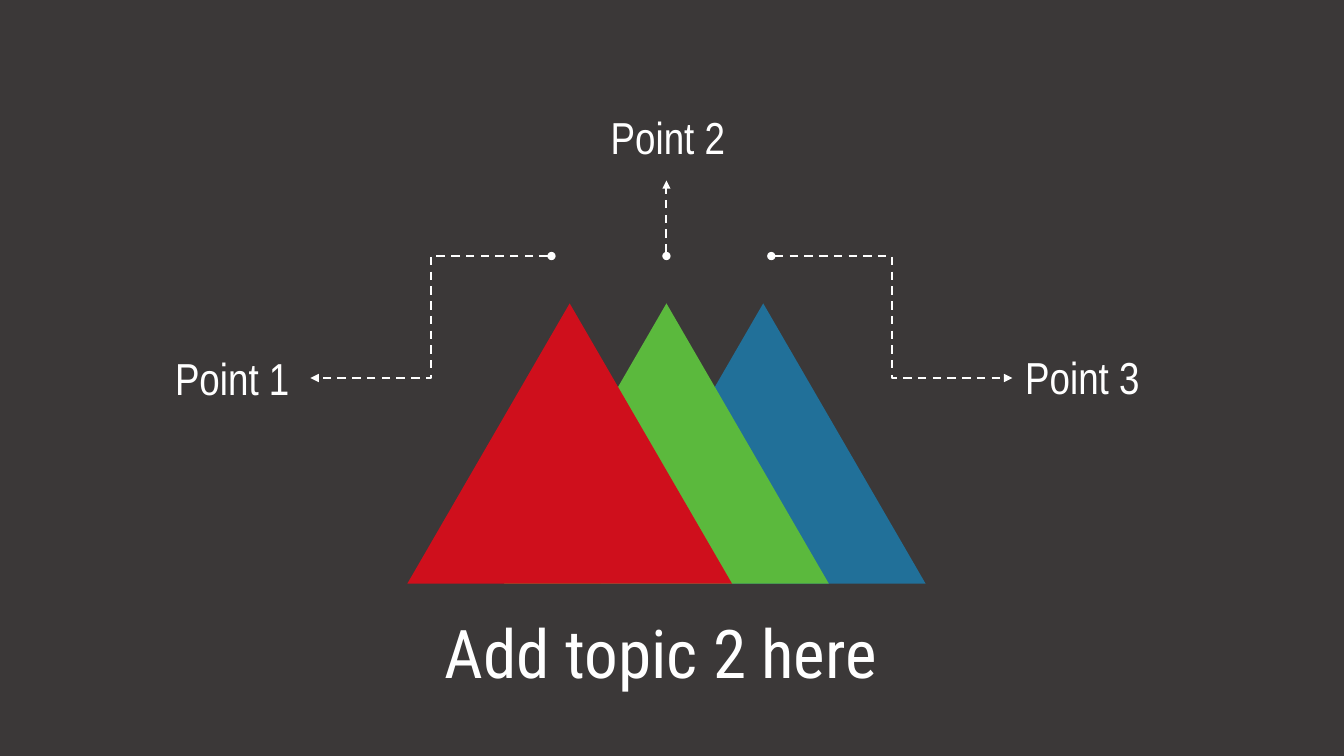
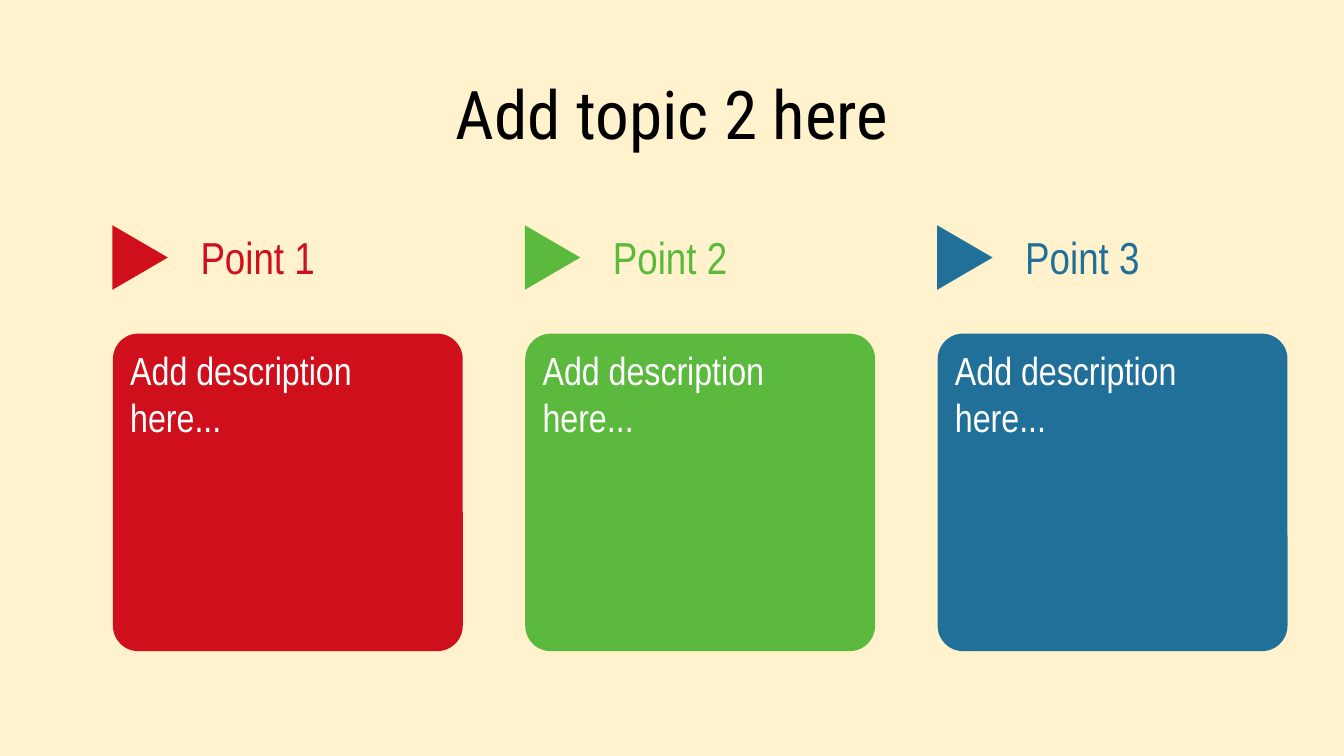
import lxml.etree
import pptx
import pptx.dml.color
import pptx.enum.dml
import pptx.enum.shapes
import pptx.enum.text
import pptx.oxml.ns
import pptx.util

Inches = pptx.util.Inches
Shape = pptx.enum.shapes.MSO_SHAPE
Connector = pptx.enum.shapes.MSO_CONNECTOR
Align = pptx.enum.text.PP_ALIGN
Anchor = pptx.enum.text.MSO_ANCHOR
qn = pptx.oxml.ns.qn

WHITE, BLACK = "FFFFFF", "000000"
DARK, CREAM = "3B3838", "FFF2CC"
TITLE_FONT, BODY_FONT = "Roboto Condensed", "Arial Narrow"
TITLE = "Add topic 2 here"
POINTS = [("Point 1", "CF0F1C"), ("Point 2", "5BB93D"), ("Point 3", "217099")]


def color(hex_string):
    return pptx.dml.color.RGBColor.from_string(hex_string)


def write_text(frame, text, size=32, font=BODY_FONT, fill=WHITE,
               align=Align.LEFT, anchor=Anchor.TOP):
    frame.word_wrap = True
    frame.vertical_anchor = anchor
    paragraph = frame.paragraphs[0]
    paragraph.text = text
    paragraph.alignment = align
    paragraph.font.size = pptx.util.Pt(size)
    paragraph.font.name = font
    paragraph.font.color.rgb = color(fill)


class Deck:
    """Holds the shared style and the slide being built."""

    def __init__(self):
        self.presentation = pptx.Presentation()
        self.presentation.slide_width = Inches(13.33)
        self.presentation.slide_height = Inches(7.5)
        self.slide = None

    def new_slide(self, background):
        self.slide = self.presentation.slides.add_slide(
            self.presentation.slide_layouts[6])
        self.slide.background.fill.solid()
        self.slide.background.fill.fore_color.rgb = color(background)

    def text(self, text, left, top, width, height, **style):
        box = self.slide.shapes.add_textbox(
            Inches(left), Inches(top), Inches(width), Inches(height))
        write_text(box.text_frame, text, **style)

    def title(self, left, top, fill):
        self.text(TITLE, left, top, 6.19, 0.91, size=48, font=TITLE_FONT,
                  fill=fill, align=Align.CENTER)

    def point_label(self, text, left, top, **style):
        self.text(text, left, top, 2.15, 0.64, **style)

    def shape(self, kind, left, top, width, height, fill):
        shape = self.slide.shapes.add_shape(
            kind, Inches(left), Inches(top), Inches(width), Inches(height))
        shape.shadow.inherit = False
        shape.fill.solid()
        shape.fill.fore_color.rgb = color(fill)
        shape.line.fill.background()
        return shape

    def card(self, text, left, top, fill):
        card = self.shape(Shape.ROUNDED_RECTANGLE, left, top, 3.47, 3.15, fill)
        card.adjustments[0] = 0.08
        write_text(card.text_frame, text, size=28)

    def arrow(self, kind, start, end):
        arrow = self.slide.shapes.add_connector(
            kind, *(Inches(length) for length in start + end))
        arrow.line.color.rgb = color(WHITE)
        arrow.line.width = pptx.util.Pt(1.5)
        arrow.line.dash_style = pptx.enum.dml.MSO_LINE.DASH
        # Dot at the start, arrowhead at the end, no shadow
        properties = arrow._element.spPr
        line = properties.find(qn("a:ln"))
        lxml.etree.SubElement(line, qn("a:headEnd"), type="oval")
        lxml.etree.SubElement(line, qn("a:tailEnd"), type="triangle")
        lxml.etree.SubElement(properties, qn("a:effectLst"))


def build_overview(deck):
    deck.new_slide(DARK)

    # Overlapping triangles, the first point in front
    for index, (_, fill) in reversed(list(enumerate(POINTS))):
        deck.shape(Shape.ISOSCELES_TRIANGLE, 4.04 + 0.96 * index, 3.01,
                   3.22, 2.78, fill)
    deck.title(3.46, 6.02, WHITE)

    # Arrows to the point labels
    callouts = [
        (Connector.ELBOW, (5.47, 2.54), (3.08, 3.75), (0.82, 3.43), Align.RIGHT),
        (Connector.STRAIGHT, (6.61, 2.54), (6.61, 1.79), (5.55, 1.04), Align.CENTER),
        (Connector.ELBOW, (7.65, 2.54), (10.04, 3.75), (10.07, 3.42), Align.LEFT),
    ]
    for (label, _), (kind, start, end, corner, align) in zip(POINTS, callouts):
        deck.arrow(kind, start, end)
        deck.point_label(label, *corner, align=align)


def build_details(deck):
    deck.new_slide(CREAM)
    deck.title(3.57, 0.67, BLACK)

    # One column per point: marker, label and card
    for index, (label, fill) in enumerate(POINTS):
        left = 1.12 + 4.09 * index
        marker = deck.shape(Shape.ISOSCELES_TRIANGLE, left - 0.05, 2.28,
                            0.64, 0.55, fill)
        marker.rotation = 90
        deck.point_label(label, left + 0.77, 2.23, fill=fill)
        deck.card("Add description here...", left, 3.31, fill)


def main():
    deck = Deck()
    build_overview(deck)
    build_details(deck)
    deck.presentation.save("out.pptx")


if __name__ == "__main__":
    main()
